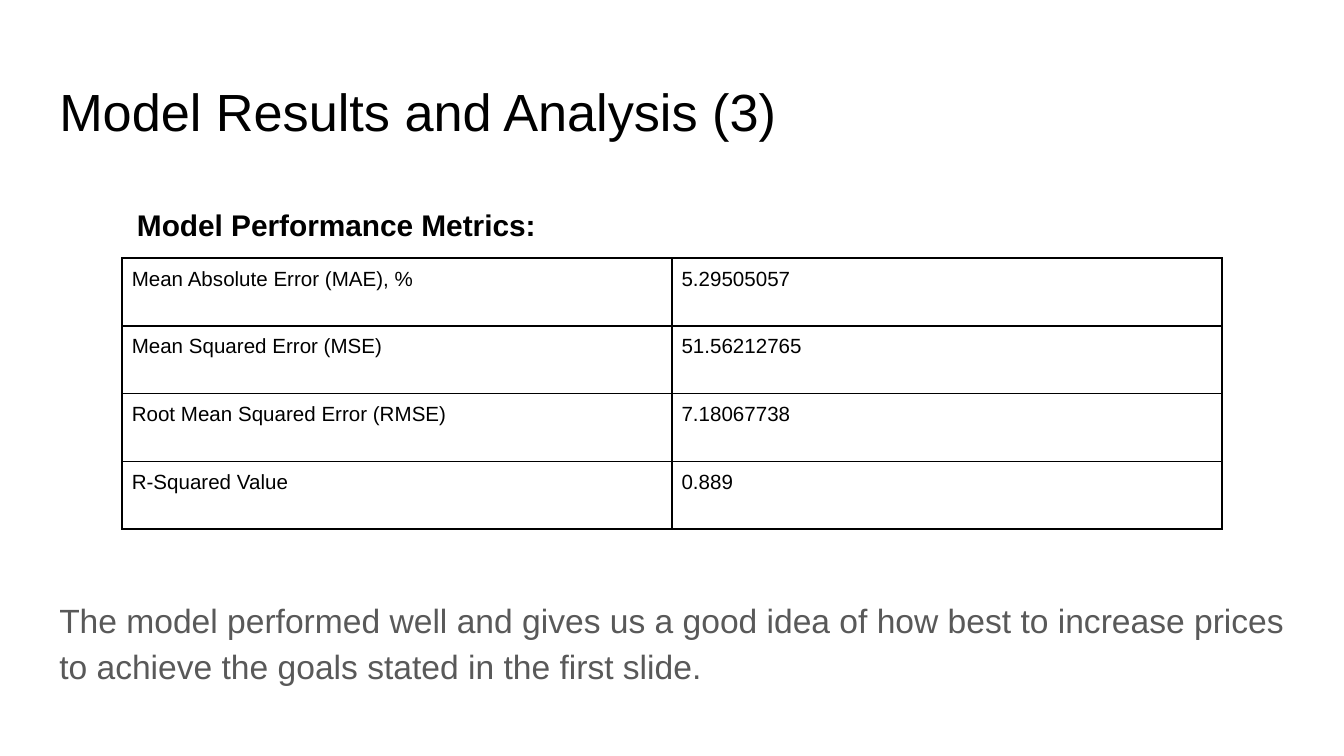
from lxml import etree
from pptx import Presentation
from pptx.dml.color import RGBColor
from pptx.enum.text import MSO_ANCHOR, MSO_AUTO_SIZE, PP_ALIGN
from pptx.oxml.ns import qn
from pptx.util import Cm, Pt

TOP = MSO_ANCHOR.TOP
LEFT = PP_ALIGN.LEFT
NO_FIT = MSO_AUTO_SIZE.NONE
FONT = "Arial"
BLACK = "000000"
GREY = "595959"
METRICS = [
    ("Mean Absolute Error (MAE), %", "5.29505057"),
    ("Mean Squared Error (MSE)", "51.56212765"),
    ("Root Mean Squared Error (RMSE)", "7.18067738"),
    ("R-Squared Value", "0.889"),
]


def rgb(value):
    """Turn a hex string into a colour."""
    return RGBColor.from_string(value)


class SlideBuilder:
    """Hold the style and the current slide."""

    def __init__(self, slide, font=FONT):
        """Keep the slide and the font."""
        self.s = slide
        self.font = font

    def add_text(self, tf, text, size, color=BLACK, bold=False):
        """Add one left-aligned run to the first paragraph."""
        p = tf.paragraphs[0]
        p.alignment = LEFT
        p.space_before = Pt(0)
        r = p.add_run()
        r.text = text
        r.font.name = self.font
        r.font.size = Pt(size)
        r.font.bold = bold
        r.font.color.rgb = rgb(color)
        return p

    def fill_frame(self, sp, box, text, size, **style):
        """Place a shape and set its text."""
        sp.left, sp.top, sp.width, sp.height = (Cm(v) for v in box)
        tf = sp.text_frame
        tf.word_wrap = True
        tf.auto_size = NO_FIT
        tf.vertical_anchor = TOP
        tf.margin_left = tf.margin_right = Cm(0.25)
        tf.margin_top = tf.margin_bottom = Cm(0.25)
        return self.add_text(tf, text, size, **style)

    def title(self, text, box):
        """Fill the title placeholder."""
        self.fill_frame(self.s.shapes.title, box, text, 28)

    def body(self, text, box):
        """Fill the body placeholder without a bullet."""
        p = self.fill_frame(self.s.placeholders[1], box, text, 18, color=GREY)
        p.line_spacing = 1.15
        p.space_after = Pt(16)
        pPr = p._p.get_or_add_pPr()
        pPr.set("marL", "0")
        pPr.set("indent", "0")
        etree.SubElement(pPr, qn("a:buNone"))

    def label(self, text, box):
        """Add a bold heading in a text box."""
        sp = self.s.shapes.add_textbox(0, 0, 0, 0)
        self.fill_frame(sp, box, text, 16, bold=True)

    def border(self, cell, color=BLACK, width=1):
        """Draw a line on each side of a cell."""
        tcPr = cell._tc.get_or_add_tcPr()
        for side in ("a:lnL", "a:lnR", "a:lnT", "a:lnB"):
            ln = etree.SubElement(tcPr, qn(side), w=str(Pt(width)))
            fill = etree.SubElement(ln, qn("a:solidFill"))
            etree.SubElement(fill, qn("a:srgbClr"), val=color)

    def table(self, rows, left, top, col_width, row_height):
        """Add a plain bordered table."""
        n_rows, n_cols = len(rows), len(rows[0])
        tbl = self.s.shapes.add_table(
            n_rows, n_cols, Cm(left), Cm(top),
            Cm(col_width * n_cols), Cm(row_height * n_rows)).table
        tbl.first_row = tbl.horz_banding = False
        for i, row in enumerate(rows):
            for j, text in enumerate(row):
                cell = tbl.cell(i, j)
                cell.margin_left = cell.margin_right = Cm(0.18)
                cell.margin_top = cell.margin_bottom = Cm(0.18)
                cell.vertical_anchor = TOP
                self.border(cell)
                cell.fill.background()
                self.add_text(cell.text_frame, text, 11)


def main():
    """Build the model results slide."""
    prs = Presentation()
    prs.slide_width, prs.slide_height = Cm(25.4), Cm(14.29)
    sb = SlideBuilder(prs.slides.add_slide(prs.slide_layouts[1]))
    sb.title("Model Results and Analysis (3)", (0.87, 1.24, 23.67, 1.6))
    sb.body("The model performed well and gives us a good idea of how best to "
            "increase prices to achieve the goals stated in the first slide.",
            (0.87, 10.97, 23.67, 4.09))
    sb.table(METRICS, 2.31, 4.88, 10.39, 1.28)
    sb.label("Model Performance Metrics:", (2.34, 3.66, 10.36, 1.04))
    prs.save("out.pptx")


if __name__ == "__main__":
    main()
